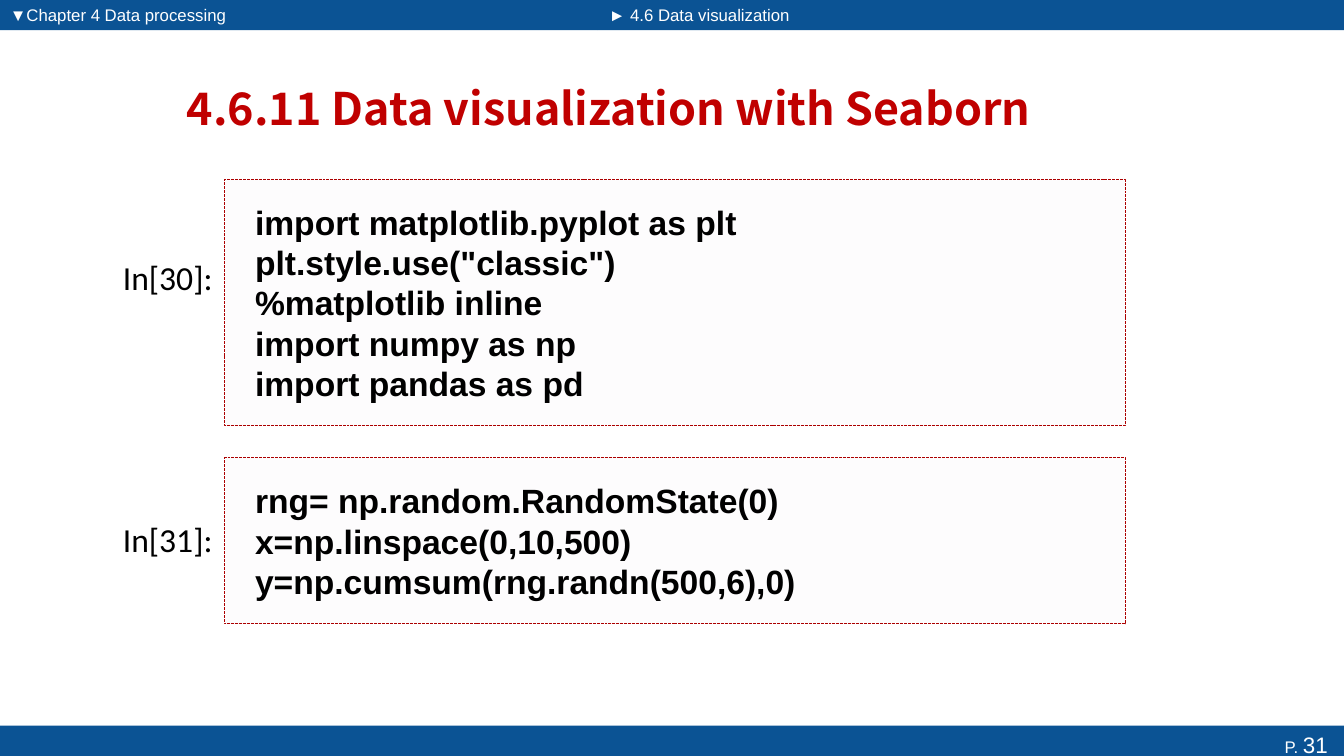
from lxml import etree
from pptx import Presentation
from pptx.dml.color import RGBColor
from pptx.enum.dml import MSO_LINE
from pptx.enum.shapes import MSO_SHAPE
from pptx.enum.text import MSO_ANCHOR, PP_ALIGN
from pptx.oxml.ns import qn
from pptx.util import Inches, Pt

RECTANGLE = MSO_SHAPE.RECTANGLE
DASH = MSO_LINE.SQUARE_DOT
TOP, MIDDLE = MSO_ANCHOR.TOP, MSO_ANCHOR.MIDDLE
LEFT, CENTER, RIGHT = PP_ALIGN.LEFT, PP_ALIGN.CENTER, PP_ALIGN.RIGHT

COLORS = {"bar": "0B5394", "bar text": "FFFFFF", "title": "C00000",
          "code fill": "F1EEF4", "code line": "AB0000", "text": "000000"}

# Content
TITLE = "4.6.11 Data visualization with Seaborn"
# text, bar left, bar width, text left, text width
HEADERS = [
    ("▼Chapter 4 Data processing", 0, 5.93, 0, 4.83),
    ("► 4.6 Data visualization", 5.93, 7.4, 5.94, 2.38),
]
PAGE_RUNS = [("P. ", 12), ("31 ", 16)]
# label, label top, code top, code height, code lines
CELLS = [
    ("In[30]:", 2.5, 1.78, 2.44, [
        "import matplotlib.pyplot as plt",
        'plt.style.use("classic")',
        "%matplotlib inline",
        "import numpy as np",
        "import pandas as pd",
    ]),
    ("In[31]:", 5.1, 4.54, 1.65, [
        "rng= np.random.RandomState(0)",
        "x=np.linspace(0,10,500)",
        "y=np.cumsum(rng.randn(500,6),0)",
    ]),
]

# Layout
SLIDE_W, SLIDE_H = 13.33, 7.5
HEADER_H, HEADER_TEXT_H = 0.3, 0.29
FOOTER_TOP, FOOTER_H = 7.2, 0.37
LABEL_LEFT, LABEL_W, LABEL_H = 1.12, 1.11, 0.5
CODE_LEFT, CODE_W, CODE_INDENT = LABEL_LEFT + LABEL_W, 8.93, 0.3
CODE_OPACITY = 13

deck = Presentation()
deck.slide_width, deck.slide_height = Inches(SLIDE_W), Inches(SLIDE_H)
slide = deck.slides.add_slide(deck.slide_layouts[6])


def style(font, face, size, color, bold=False):
    font.name, font.size, font.bold = face, Pt(size), bold
    font.color.rgb = RGBColor.from_string(COLORS[color])


def add_block(left, top, width, height, fill):
    block = slide.shapes.add_shape(RECTANGLE, *map(Inches, (left, top, width, height)))
    block.shadow.inherit = False
    block.fill.solid()
    block.fill.fore_color.rgb = RGBColor.from_string(COLORS[fill])
    block.line.fill.background()
    return block


def add_text(text, left, top, width, height, face, size, color,
             bold=False, align=LEFT, anchor=TOP):
    box = slide.shapes.add_textbox(*map(Inches, (left, top, width, height)))
    frame = box.text_frame
    frame.word_wrap = True
    frame.vertical_anchor = anchor
    frame.text = text
    frame.paragraphs[0].alignment = align
    style(frame.paragraphs[0].runs[0].font, face, size, color, bold)


# Header bars and their chapter names
for header, bar_left, bar_width, text_left, text_width in HEADERS:
    add_block(bar_left, 0, bar_width, HEADER_H, "bar")
    add_text(header, text_left, 0, text_width, HEADER_TEXT_H, "Arial", 12, "bar text")

# Footer bar with page number
footer = add_block(0, FOOTER_TOP, SLIDE_W, FOOTER_H, "bar").text_frame
footer.vertical_anchor = TOP
page = footer.paragraphs[0]
page.alignment = RIGHT
for text, size in PAGE_RUNS:
    run = page.add_run()
    run.text = text
    style(run.font, "Arial", size, "bar text")

# Title
add_text(TITLE, 0.68, 0.62, 10.72, 0.9, "Noto Sans CJK SC", 32, "title",
         bold=True, align=CENTER, anchor=MIDDLE)

# Notebook cells
for label, label_top, code_top, code_height, lines in CELLS:
    add_text(label, LABEL_LEFT, label_top, LABEL_W, LABEL_H, "Calibri", 24, "text")

    cell = add_block(CODE_LEFT, code_top, CODE_W, code_height, "code fill")
    fill_color = cell.fill._xPr.find(qn("a:solidFill"))[0]
    etree.SubElement(fill_color, qn("a:alpha"), val=str(CODE_OPACITY * 1000))
    cell.line.color.rgb = RGBColor.from_string(COLORS["code line"])
    cell.line.width = Pt(0.7)
    cell.line.dash_style = DASH

    code = cell.text_frame
    code.margin_left = Inches(CODE_INDENT)
    code.vertical_anchor = MIDDLE
    code.text = "\n".join(lines)
    for paragraph in code.paragraphs:
        paragraph.alignment = LEFT
        style(paragraph.runs[0].font, "Arial", 24, "text", bold=True)

deck.save("out.pptx")
